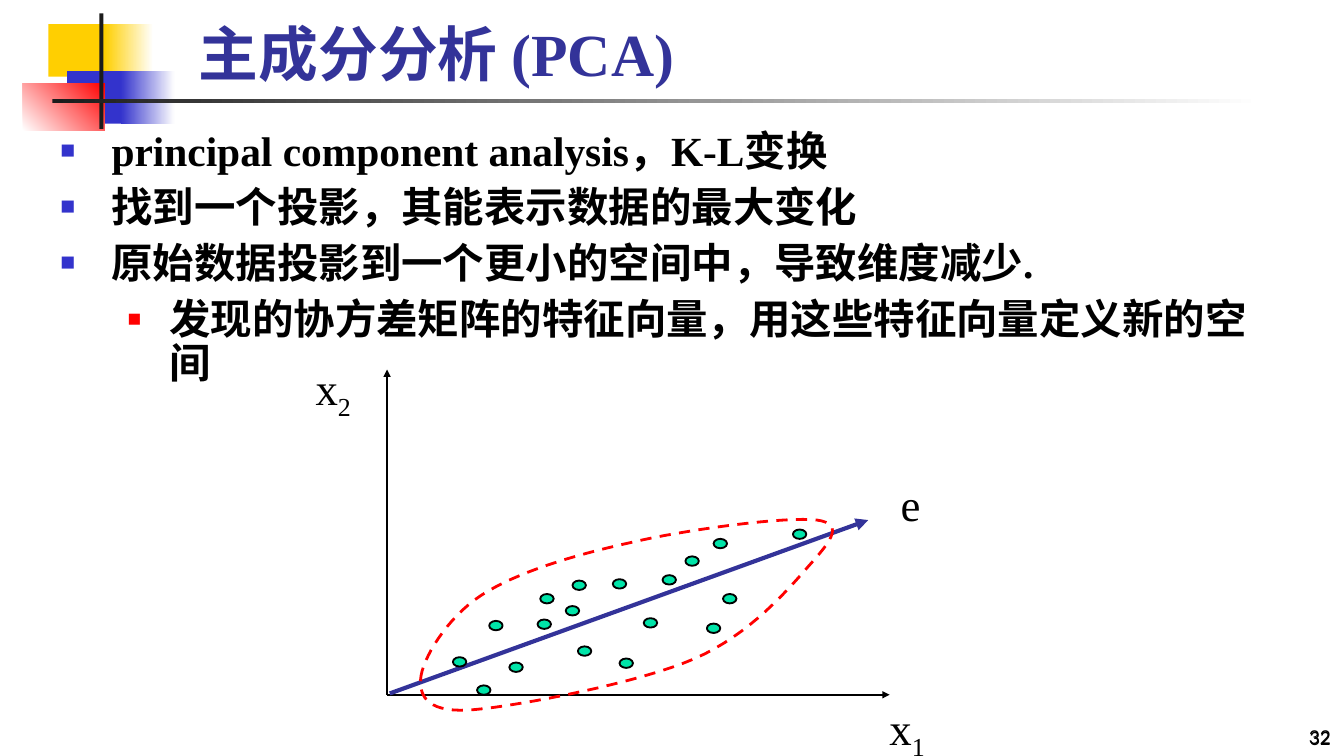
from lxml import etree
from pptx import Presentation
from pptx.dml.color import RGBColor
from pptx.enum.dml import MSO_LINE
from pptx.enum.shapes import MSO_CONNECTOR, MSO_SHAPE
from pptx.enum.text import MSO_ANCHOR, MSO_AUTO_SIZE, PP_ALIGN
from pptx.oxml.ns import qn
from pptx.util import Pt

PX = 9144  # EMU per px, 100 px to the inch
SLIDE_WIDTH = 1000
RECT, OVAL = MSO_SHAPE.RECTANGLE, MSO_SHAPE.OVAL
STRAIGHT, DASH = MSO_CONNECTOR.STRAIGHT, MSO_LINE.DASH
LEFT, CENTER, RIGHT = PP_ALIGN.LEFT, PP_ALIGN.CENTER, PP_ALIGN.RIGHT
TOP, MIDDLE, BOTTOM = MSO_ANCHOR.TOP, MSO_ANCHOR.MIDDLE, MSO_ANCHOR.BOTTOM
NO_FIT = MSO_AUTO_SIZE.NONE
SERIF, SANS = "Times New Roman", "Lato"
BLACK, WHITE, INK, RED = "000000", "FFFFFF", "1C1C1C", "FF0000"
YELLOW, BLUE, NAVY, GREEN = "FFCF01", "3333CC", "333399", "00E4A8"


def rgb(code):
    return RGBColor.from_string(code)


def emu(*lengths):
    return [round(length * PX) for length in lengths]


def add_shape(slide, kind, box, fill, line=None):
    shape = slide.shapes.add_shape(kind, *emu(*box))
    shape.shadow.inherit = False
    shape.fill.solid()
    shape.fill.fore_color.rgb = rgb(fill)
    if line:
        shape.line.color.rgb = rgb(line)
        shape.line.width = Pt(1)
    else:
        shape.line.fill.background()
    return shape


def add_fade(slide, box, start, end, angle=0):
    fill = add_shape(slide, RECT, box, start).fill
    fill.gradient()
    fill.gradient_angle = angle
    for stop, code in zip(fill.gradient_stops, (start, end)):
        stop.color.rgb = rgb(code)


def add_arrow(slide, start, end, color, width, head):
    arrow = slide.shapes.add_connector(STRAIGHT, *emu(*start, *end))
    arrow.line.color.rgb = rgb(color)
    arrow.line.width = Pt(width)
    etree.SubElement(arrow.line._get_or_add_ln(), qn("a:tailEnd"),
                     type="triangle", w=head, len=head)
    etree.SubElement(arrow._element.spPr, qn("a:effectLst"))


def add_run(paragraph, text, size, color, font=SERIF, bold=False):
    run = paragraph.add_run()
    run.text = text
    run.font.size = Pt(size)
    run.font.name = font
    run.font.bold = bold
    run.font.color.rgb = rgb(color)
    return run


def add_label(slide, box, align, anchor, wrap):
    frame = slide.shapes.add_textbox(*emu(*box)).text_frame
    frame.word_wrap = wrap
    frame.vertical_anchor = anchor
    frame.paragraphs[0].alignment = align
    return frame.paragraphs[0]


def place(slide, placeholder, box, anchor):
    """Move a placeholder to its box, in front of what is already drawn."""
    placeholder.left, placeholder.top, placeholder.width, placeholder.height = emu(*box)
    slide.shapes._spTree.append(placeholder._element)
    frame = placeholder.text_frame
    frame.word_wrap = True
    frame.auto_size = NO_FIT
    frame.vertical_anchor = anchor
    return frame


def add_bullet(paragraph, color, size, margin, hanging):
    props = paragraph._p.get_or_add_pPr()
    props.set("marL", str(margin * PX))
    props.set("indent", str(-hanging * PX))
    bullet_color = etree.SubElement(props, qn("a:buClr"))
    etree.SubElement(bullet_color, qn("a:srgbClr"), val=color)
    etree.SubElement(props, qn("a:buSzPct"), val=str(size * 1000))
    etree.SubElement(props, qn("a:buChar"), char="■")


def draw_ornament(slide, left, top):
    """Overlapping colour blocks with a vertical bar and a fading rule."""
    add_shape(slide, RECT, (left + 19, top + 8, 48, 39), YELLOW)
    add_fade(slide, (left + 61, top + 8, 36, 39), YELLOW, WHITE)
    add_shape(slide, RECT, (left + 33, top + 43, 46, 39), BLUE)
    add_fade(slide, (left + 73, top + 43, 40, 39), BLUE, WHITE)
    add_fade(slide, (left, top + 52, 61, 35), WHITE, RED, 45)
    add_shape(slide, RECT, (left + 57, top, 3, 86), INK)
    add_fade(slide, (left + 22, top + 64, 900, 3), INK, WHITE)


def draw_page_number(slide, box):
    # The number is printed twice, at slightly different sizes
    for size, spacing in ((9.8, 0.8), (10.2, 0.9)):
        number = add_label(slide, box, RIGHT, BOTTOM, True)
        number.line_spacing = spacing
        add_run(number, "32", size, BLACK, SANS)


def curve_points(start, curves, steps=16):
    """Points along a chain of cubic curves."""
    points = [start]
    for a, b, end in curves:
        for step in range(1, steps + 1):
            t = step / steps
            u = 1 - t
            points.append([u**3 * p + 3 * u * u * t * q + 3 * u * t * t * r + t**3 * s
                           for p, q, r, s in zip(start, a, b, end)])
        start = end
    return points


def draw_scatter(slide, left, top):
    """Axes, principal direction, data points and their outline."""
    def at(x, y):
        return left + x, top + y

    # Axes and direction e
    origin = at(0, 242)
    for tip in (at(0, 0), at(374, 242)):
        add_arrow(slide, origin, tip, BLACK, 1, "sm")
    add_arrow(slide, at(2, 241), at(358, 112), NAVY, 2.25, "med")

    # Data points
    points = ((76, 187), (114, 167), (49, 214), (133, 176), (112, 186), (191, 185),
              (173, 215), (142, 206), (168, 156), (250, 167), (302, 119), (91, 218),
              (205, 153), (243, 126), (138, 157), (222, 139), (238, 189), (67, 235))
    for x, y in points:
        add_shape(slide, OVAL, (*at(x, y), 10, 7), GREEN, BLACK)

    # Dashed outline around the points
    curves = (((26, 216), (44, 185), (70, 168)), ((96, 151), (139, 138), (180, 129)),
              ((222, 119), (298, 109), (320, 112)), ((342, 115), (328, 130), (313, 147)),
              ((298, 164), (270, 197), (229, 215)), ((188, 233), (99, 250), (65, 253)),
              ((31, 256), (24, 244), (25, 230)))
    start, *rest = [emu(*at(x, y)) for x, y in curve_points((25, 230), curves)]
    builder = slide.shapes.build_freeform(*start)
    builder.add_line_segments(rest, close=True)
    outline = builder.convert_to_shape()
    outline.shadow.inherit = False
    outline.fill.background()
    outline.line.color.rgb = rgb(RED)
    outline.line.width = Pt(1.5)
    outline.line.dash_style = DASH

    # Axis names
    for x, y, width, height, name, index in ((-63, -12, 46, 56, "x", "2"),
                                             (364, 241, 46, 56, "x", "1"),
                                             (372, 75, 35, 50, "e", "")):
        label = add_label(slide, (*at(x, y), width, height), CENTER, MIDDLE, False)
        add_run(label, name, 24, BLACK)
        if index:
            subscript = add_run(label, index, 24, BLACK)
            subscript.font._element.set("baseline", "-25000")


def write_title(slide, box):
    heading = place(slide, slide.shapes.title, box, BOTTOM).paragraphs[0]
    heading.alignment = LEFT
    add_run(heading, "主成分分析 (PCA)", 32, NAVY, bold=True)


def write_points(slide, box):
    frame = place(slide, slide.placeholders[1], box, TOP)
    lines = ((0, "principal component analysis，K-L变换"),
             (0, "找到一个投影，其能表示数据的最大变化"),
             (0, "原始数据投影到一个更小的空间中，导致维度减少."),
             (1, "发现的协方差矩阵的特征向量，用这些特征向量定义新的空间"))
    bullets = ((BLUE, 60, 38, 38), (RED, 55, 81, 31))
    for i, (level, text) in enumerate(lines):
        point = frame.add_paragraph() if i else frame.paragraphs[0]
        point.level = level
        point.line_spacing = 0.9
        point.space_before = Pt(6)
        add_bullet(point, *bullets[level])
        add_run(point, text, 22.2, BLACK, bold=True)


def main():
    deck = Presentation()
    deck.slide_width, deck.slide_height = emu(SLIDE_WIDTH, SLIDE_WIDTH * 9 / 16)
    slide = deck.slides.add_slide(deck.slide_layouts[1])
    draw_ornament(slide, 17, 10)
    draw_page_number(slide, (792, 531, 208, 31))
    draw_scatter(slide, 288, 275)
    write_title(slide, (138, 2, 958, 69))
    write_points(slide, (35, 92, 908, 207))
    deck.save("out.pptx")


if __name__ == "__main__":
    main()
